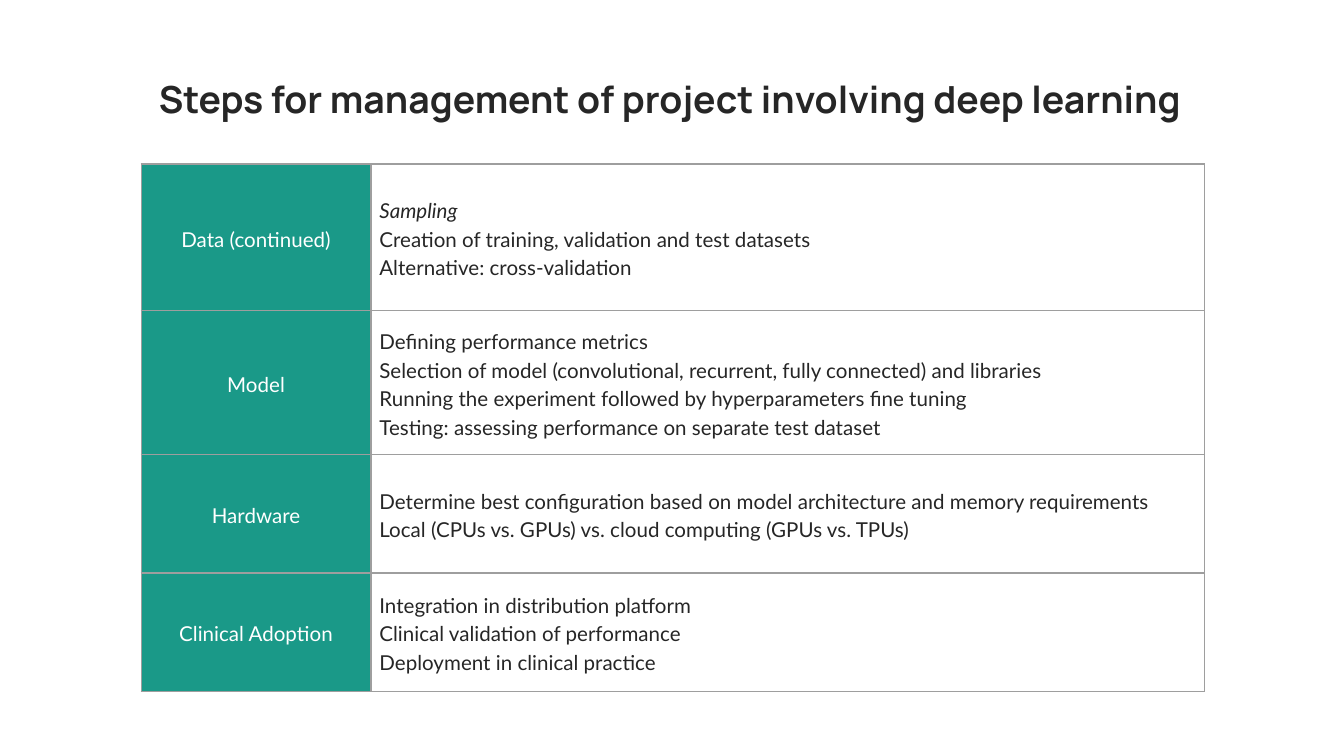
from lxml import etree
from pptx import Presentation
from pptx.dml.color import RGBColor
from pptx.enum.text import MSO_ANCHOR, MSO_AUTO_SIZE, PP_ALIGN
from pptx.oxml.ns import qn
from pptx.util import Cm, Pt

CENTER, LEFT = PP_ALIGN.CENTER, PP_ALIGN.LEFT
TOP, MIDDLE = MSO_ANCHOR.TOP, MSO_ANCHOR.MIDDLE
NO_AUTOFIT = MSO_AUTO_SIZE.NONE

TEAL = RGBColor(0x1A, 0x99, 0x88)
WHITE = RGBColor(0xFF, 0xFF, 0xFF)
INK = RGBColor(0x26, 0x26, 0x26)
RULE_GREY = RGBColor(0x9E, 0x9E, 0x9E)

TITLE = "Steps for management of project involving deep learning"
TITLE_FONT = {"name": "Manrope", "size": Pt(20), "bold": True}
BODY_FONT = {"name": "Lato", "size": Pt(11), "bold": False}
LINE_SPACING = 1.15

COLUMN_WIDTHS = (Cm(4.34), Cm(15.75))
# Phase, row height, steps
PHASES = [
    ("Data (continued)", Cm(2.77), [
        "Sampling",
        "Creation of training, validation and test datasets",
        "Alternative: cross-validation",
    ]),
    ("Model", Cm(2.72), [
        "Defining performance metrics",
        "Selection of model (convolutional, recurrent, fully connected) and libraries",
        "Running the experiment followed by hyperparameters fine tuning",
        "Testing: assessing performance on separate test dataset",
    ]),
    ("Hardware", Cm(2.24), [
        "Determine best configuration based on model architecture and memory requirements",
        "Local (CPUs vs. GPUs) vs. cloud computing (GPUs vs. TPUs)",
    ]),
    ("Clinical Adoption", Cm(2.24), [
        "Integration in distribution platform",
        "Clinical validation of performance",
        "Deployment in clinical practice",
    ]),
]
SUBHEADING = "Sampling"


def apply_format(target, values):
    for attribute, value in values.items():
        setattr(target, attribute, value)


def write_lines(frame, lines, font, color, alignment):
    frame.text = "\n".join(lines)
    for paragraph in frame.paragraphs:
        apply_format(paragraph, {"alignment": alignment, "line_spacing": LINE_SPACING,
                                 "space_before": Pt(0), "space_after": Pt(0)})
        for run in paragraph.runs:
            apply_format(run.font, font)
            run.font.color.rgb = color
            run.font.italic = run.text == SUBHEADING


def add_borders(cell):
    """Draw all four cell edges; they must precede the fill in the cell XML."""
    properties = cell._tc.get_or_add_tcPr()
    for position, side in enumerate(("lnL", "lnR", "lnT", "lnB")):
        edge = etree.Element(qn(f"a:{side}"), w=str(Pt(0.75)))
        fill = etree.SubElement(edge, qn("a:solidFill"))
        etree.SubElement(fill, qn("a:srgbClr"), val=str(RULE_GREY))
        properties.insert(position, edge)


def fill_cell(cell, lines, background, color, alignment):
    inset = Cm(0.16)
    apply_format(cell, {"margin_left": inset, "margin_right": inset,
                        "margin_top": inset, "margin_bottom": inset,
                        "vertical_anchor": MIDDLE})
    cell.fill.solid()
    cell.fill.fore_color.rgb = background
    add_borders(cell)
    write_lines(cell.text_frame, lines, BODY_FONT, color, alignment)


def add_phase_table(slide):
    height = sum(row_height for _, row_height, _ in PHASES)
    table = slide.shapes.add_table(
        len(PHASES), len(COLUMN_WIDTHS), Cm(2.67), Cm(3.1),
        sum(COLUMN_WIDTHS), height).table
    apply_format(table, {"first_row": False, "horz_banding": False})
    for column, width in zip(table.columns, COLUMN_WIDTHS):
        column.width = width
    for row, (phase, row_height, steps) in zip(table.rows, PHASES):
        row.height = row_height
        phase_cell, steps_cell = row.cells
        fill_cell(phase_cell, [phase], TEAL, WHITE, CENTER)
        fill_cell(steps_cell, steps, WHITE, INK, LEFT)


def set_title(slide):
    title = slide.shapes.title
    apply_format(title, {"left": Cm(2.62), "top": Cm(1.07),
                         "width": Cm(20.09), "height": Cm(1.35)})
    inset = Cm(0.25)
    apply_format(title.text_frame, {
        "margin_left": inset, "margin_right": inset,
        "margin_top": inset, "margin_bottom": inset,
        "vertical_anchor": TOP, "word_wrap": True, "auto_size": NO_AUTOFIT})
    write_lines(title.text_frame, [TITLE], TITLE_FONT, INK, CENTER)


def main():
    presentation = Presentation()
    apply_format(presentation, {"slide_width": Cm(25.4), "slide_height": Cm(14.29)})
    slide = presentation.slides.add_slide(presentation.slide_layouts[5])
    add_phase_table(slide)
    set_title(slide)
    presentation.save("out.pptx")


if __name__ == "__main__":
    main()
